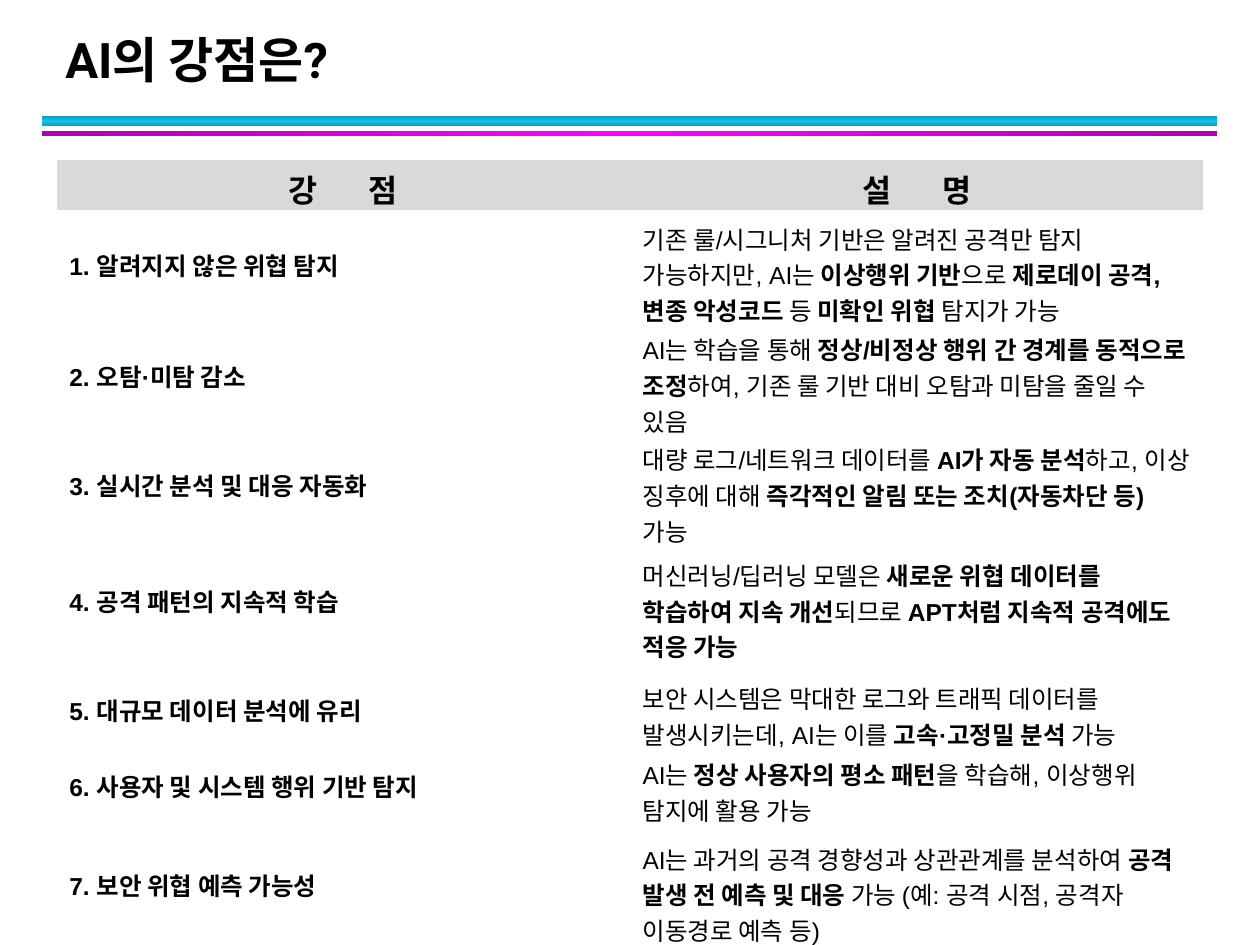
from copy import deepcopy
from dataclasses import dataclass

from pptx import Presentation
from pptx import util as u
from pptx.dml import color
from pptx.enum import shapes, text

BLACK = "000000"
HEADER_GRAY = "D9D9D9"
PLAIN_TABLE_STYLE = "{2D5ABB26-0587-4C30-8999-92F81FD0307C}"
TABLE_LEFT, COLUMN_WIDTH = 0.45, 4.55
HEADER_FORMAT = {"size": u.Pt(18), "name": "Arial", "bold": True}
BODY_FORMAT = {"size": u.Pt(14), "name": "Arial"}
TITLE_FORMAT = {"size": u.Pt(28), "name": "Roboto", "bold": True}


@dataclass
class Stripe:
    top: float
    height: float
    edge: str
    middle: str
    angle: int


@dataclass
class Strength:
    top: float
    height: float
    name: str
    description: str


STRIPES = [
    Stripe(0.92, 0.08, "0E9BBA", "12C2E9", 90),
    Stripe(1.04, 0.04, "B200B2", "FF00FF", 0),
]

STRENGTHS = [
    Strength(1.7, 0.8, "알려지지 않은 위협 탐지",
             "기존 룰/시그니처 기반은 알려진 공격만 탐지 가능하지만, AI는 **이상행위 기반**으로 "
             "**제로데이 공격, 변종 악성코드** 등 **미확인 위협** 탐지가 가능"),
    Strength(2.58, 0.8, "오탐·미탐 감소",
             "AI는 학습을 통해 **정상/비정상 행위 간 경계를 동적으로 조정**하여, "
             "기존 룰 기반 대비 오탐과 미탐을 줄일 수 있음"),
    Strength(3.45, 0.8, "실시간 분석 및 대응 자동화",
             "대량 로그/네트워크 데이터를 **AI가 자동 분석**하고, 이상 징후에 대해 "
             "**즉각적인 알림 또는 조치(자동차단 등)** 가능"),
    Strength(4.37, 0.8, "공격 패턴의 지속적 학습",
             "머신러닝/딥러닝 모델은 **새로운 위협 데이터를 학습하여 지속 개선**되므로 "
             "**APT처럼 지속적 공격에도 적응 가능**"),
    Strength(5.35, 0.57, "대규모 데이터 분석에 유리",
             "보안 시스템은 막대한 로그와 트래픽 데이터를 발생시키는데, "
             "AI는 이를 **고속·고정밀 분석** 가능"),
    Strength(5.95, 0.57, "사용자 및 시스템 행위 기반 탐지",
             "AI는 **정상 사용자의 평소 패턴**을 학습해, 이상행위 탐지에 활용 가능"),
    Strength(6.62, 0.8, "보안 위협 예측 가능성",
             "AI는 과거의 공격 경향성과 상관관계를 분석하여 **공격 발생 전 예측 및 대응** 가능 "
             "(예: 공격 시점, 공격자 이동경로 예측 등)"),
]


def rgb(value: str) -> color.RGBColor:
    return color.RGBColor.from_string(value)


def add_run(paragraph, wording: str, formats: dict):
    run = paragraph.add_run()
    run.text = wording
    for attribute, value in formats.items():
        setattr(run.font, attribute, value)
    run.font.color.rgb = rgb(BLACK)
    return run


def add_marked_text(paragraph, wording: str, formats: dict) -> None:
    for index, part in enumerate(wording.split("**")):
        if part:
            add_run(paragraph, part, {**formats, "bold": index % 2 == 1})


def add_spread_heading(paragraph, wording: str) -> None:
    paragraph.alignment = text.PP_ALIGN.CENTER
    first, last = wording.split()
    add_run(paragraph, first, HEADER_FORMAT)
    gap = add_run(paragraph, " ", HEADER_FORMAT)
    gap.font._element.set("spc", "2500")
    add_run(paragraph, last, HEADER_FORMAT)


def add_title(slide, wording: str) -> None:
    shape = slide.shapes.add_textbox(
        u.Inches(0.42), u.Inches(0.17), u.Inches(9.06), u.Inches(0.58))
    frame = shape.text_frame
    frame.word_wrap = True
    frame.vertical_anchor = text.MSO_ANCHOR.BOTTOM
    paragraph = frame.paragraphs[0]
    paragraph.line_spacing = u.Pt(36)
    add_run(paragraph, wording, TITLE_FORMAT)


def add_stripe(slide, stripe: Stripe) -> None:
    shape = slide.shapes.add_shape(
        shapes.MSO_SHAPE.RECTANGLE, u.Inches(0.33), u.Inches(stripe.top),
        u.Inches(9.33), u.Inches(stripe.height))
    shape.shadow.inherit = False
    shape.line.fill.background()
    shape.fill.gradient()
    shape.fill.gradient_angle = stripe.angle
    stop_list = shape._element.xpath(".//a:gsLst")[0]
    stop_list.append(deepcopy(stop_list[0]))
    colours = (stripe.edge, stripe.middle, stripe.edge)
    for index, (stop, colour) in enumerate(zip(shape.fill.gradient_stops, colours)):
        stop.position = index / 2
        stop.color.rgb = rgb(colour)


def add_row_table(slide, top: float, height: float, fill: str | None = None) -> list:
    frame = slide.shapes.add_table(
        1, 2, u.Inches(TABLE_LEFT), u.Inches(top),
        u.Inches(2 * COLUMN_WIDTH), u.Inches(height))
    table = frame.table
    table.first_row = table.horz_banding = False
    frame._element.xpath(".//a:tableStyleId")[0].text = PLAIN_TABLE_STYLE
    paragraphs = []
    for cell in table.iter_cells():
        cell.vertical_anchor = text.MSO_ANCHOR.MIDDLE
        if fill:
            cell.fill.solid()
            cell.fill.fore_color.rgb = rgb(fill)
        else:
            cell.fill.background()
        paragraphs.append(cell.text_frame.paragraphs[0])
    return paragraphs


def main() -> None:
    presentation = Presentation()
    presentation.slide_width = u.Inches(10)
    presentation.slide_height = u.Inches(7.5)
    slide = presentation.slides.add_slide(presentation.slide_layouts[6])

    for stripe in STRIPES:
        add_stripe(slide, stripe)
    add_title(slide, "AI의 강점은?")

    headings = add_row_table(slide, 1.27, 0.4, HEADER_GRAY)
    for paragraph, wording in zip(headings, ("강 점", "설 명")):
        add_spread_heading(paragraph, wording)

    for number, strength in enumerate(STRENGTHS, start=1):
        name, description = add_row_table(slide, strength.top, strength.height)
        add_marked_text(name, f"**{number}. {strength.name}**", BODY_FORMAT)
        add_marked_text(description, strength.description, BODY_FORMAT)

    presentation.save("out.pptx")


if __name__ == "__main__":
    main()
